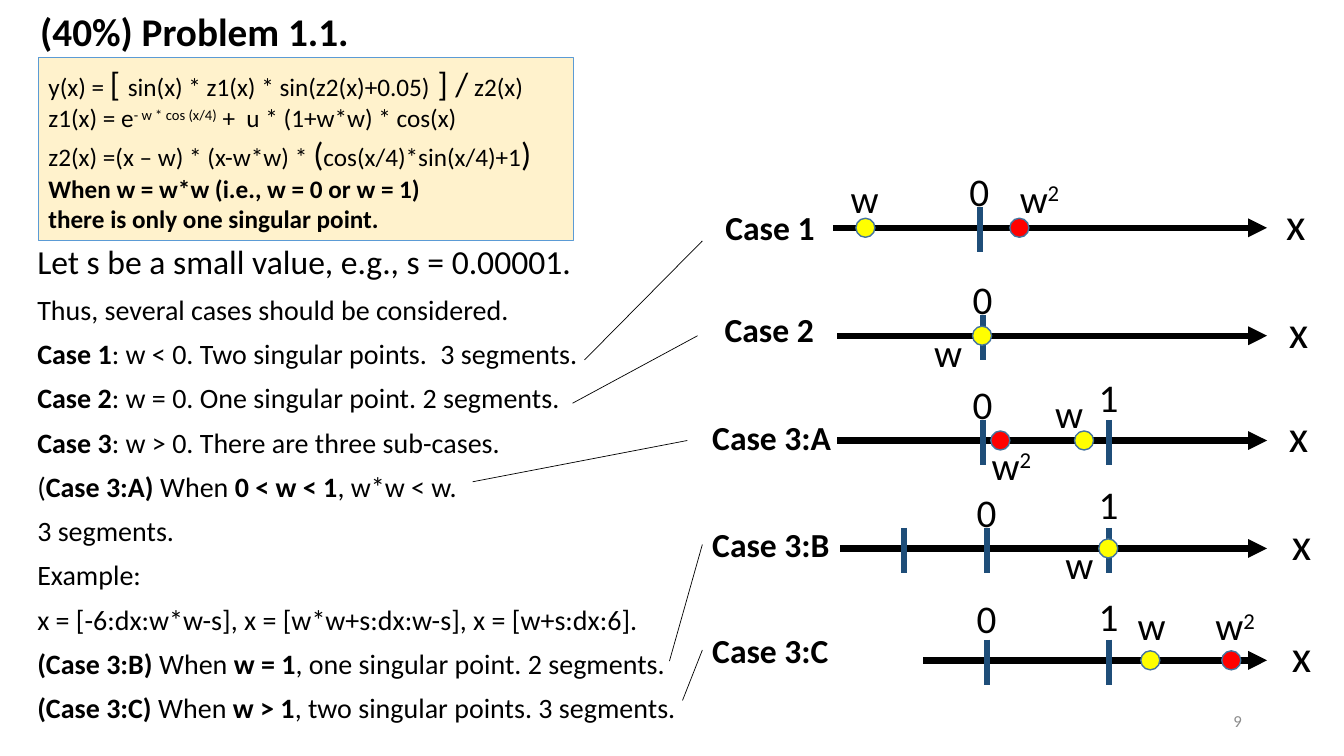
from lxml.etree import SubElement
from pptx import Presentation
from pptx.dml.color import RGBColor
from pptx.enum.shapes import MSO_CONNECTOR, MSO_SHAPE
from pptx.enum.text import MSO_ANCHOR, PP_ALIGN
from pptx.oxml.ns import qn
from pptx.util import Cm, Pt

FONT = "Calibri"
BLACK, TICK, YELLOW, RED, OUTLINE = "000000", "1F4E79", "FFFF00", "FF0000", "43739E"
BOLD = {"bold": True}
BIG = {"size": Pt(24)}
SUPER = {"baseline": 30}
W, W2 = ["w"], ["w", ("2", SUPER)]

FORMULAS = [
    ["y(x) = ", ("[ ", BIG), "sin(x) * z1(x) * sin(z2(x)+0.05)", (" ] /", BIG), " z2(x)"],
    ["z1(x) = e", ("- w * cos (x/4)", SUPER), " +  u * (1+w*w) * cos(x)"],
    ["z2(x) =(x – w) * (x-w*w) * ", ("(", BIG), "cos(x/4)*sin(x/4)+1", (")", BIG)],
    [("When w = w*w (i.e., w = 0 or w = 1)", BOLD)],
    [("there is only one singular point.", BOLD)],
]
DISCUSSION = [
    [("Let s be a small value, e.g., s = 0.00001.", BIG)],
    ["Thus, several cases should be considered."],
    [("Case 1", BOLD), ": w < 0. Two singular points.\t3 segments."],
    [("Case 2", BOLD), ": w = 0. One singular point. 2 segments."],
    [("Case 3", BOLD), ": w > 0. There are three sub-cases."],
    ["(", ("Case 3:A) ", BOLD), "When ", ("0 < w < 1", BOLD), ", w*w < w."],
    ["3 segments."],
    ["Example:"],
    ["x = [-6:dx:w*w-s], x = [w*w+s:dx:w-s], x = [w+s:dx:6]."],
    [("(Case 3:B) ", BOLD), "When ", ("w = 1", BOLD), ", one singular point. 2 segments."],
    [("(Case 3:C) ", BOLD), "When ", ("w > 1", BOLD), ", two singular points. 3 segments."],
]
# Offsets in cm from the left of the case panel and from the axis.
# ticks: x, label, label rise; points: x, colour, label, label offset from point
CASES = [
    {"name": "Case 1", "name_at": (0.33, -0.66), "axis_y": 5.74, "start": 3.3, "x_at": 14.46,
     "ticks": [(6.99, "0", 1.65)],
     "points": [(4.11, YELLOW, W, -0.62, -1.47), (7.99, RED, W2, -0.24, -1.47)]},
    {"name": "Case 2", "name_at": (0.31, -0.79), "axis_y": 8.46, "start": 3.4, "x_at": 14.53,
     "ticks": [(7.07, "0", 1.65)],
     "points": [(7.05, YELLOW, W, -1.46, -0.3)]},
    {"name": "Case 3:A", "name_at": (0, -0.71), "axis_y": 11.1, "start": 3.4, "x_at": 14.53,
     "ticks": [(7.07, "0", 1.65), (10.25, "1", 1.83)],
     "points": [(7.51, RED, W2, -0.47, -0.1), (9.62, YELLOW, W, -0.98, -1.42)]},
    {"name": "Case 3:B", "name_at": (0, -0.74), "axis_y": 13.82, "start": 3.48, "x_at": 14.61,
     "ticks": [(5.08, "", 0), (7.17, "0", 1.65), (10.25, "1", 1.83)],
     "points": [(10.23, YELLOW, W, -1.33, -0.33)]},
    {"name": "Case 3:C", "name_at": (0, -0.89), "axis_y": 16.64, "start": 5.57, "x_at": 14.61,
     "ticks": [(7.17, "0", 1.8), (10.25, "1", 1.83)],
     "points": [(11.29, YELLOW, W, -0.57, -1.6), (13.33, RED, W2, -0.65, -1.6)]},
]
LEADERS = [
    (14.73, 9.07, 17.7, 6.07),
    (14.43, 10.16, 17.58, 8.46),
    (11.91, 12.14, 17.32, 11.1),
    (16.87, 16.66, 17.7, 13.72),
    (17.2, 17.65, 17.7, 16.38),
]


def rgb(value):
    return RGBColor.from_string(value)


def write(frame, paragraphs, size, color=BLACK, bold=False, **layout):
    """Fill a frame; a run is a string or a (string, format) pair."""
    for index, runs in enumerate(paragraphs):
        paragraph = frame.paragraphs[0] if index == 0 else frame.add_paragraph()
        settings = {"alignment": PP_ALIGN.LEFT, **layout}
        if index == 0:
            settings["space_before"] = Pt(0)
        for name, value in settings.items():
            setattr(paragraph, name, value)
        for item in runs:
            words, extra = (item, {}) if isinstance(item, str) else item
            run = paragraph.add_run()
            run.text = words
            run.font.color.rgb = rgb(color)
            for name, value in {"name": FONT, "size": Pt(size), "bold": bold, **extra}.items():
                if name == "baseline":
                    run.font._element.set("baseline", str(value * 1000))
                else:
                    setattr(run.font, name, value)


def add_text(slide, box, paragraphs, size, wrap=False, **options):
    frame = slide.shapes.add_textbox(*map(Cm, box)).text_frame
    frame.word_wrap = wrap
    write(frame, paragraphs, size, **options)
    return frame


def add_line(slide, ends, color, width, arrow=False):
    line = slide.shapes.add_connector(MSO_CONNECTOR.STRAIGHT, *map(Cm, ends))
    line.line.color.rgb = rgb(color)
    line.line.width = Pt(width)
    if arrow:
        SubElement(line.line._get_or_add_ln(), qn("a:tailEnd"), type="triangle")
    SubElement(line._element.spPr, qn("a:effectLst"))


def add_filled(slide, kind, box, fill, outline, width):
    shape = slide.shapes.add_shape(kind, *map(Cm, box))
    shape.shadow.inherit = False
    shape.fill.solid()
    shape.fill.fore_color.rgb = rgb(fill)
    shape.line.color.rgb = rgb(outline)
    shape.line.width = Pt(width)
    return shape


def place_title(slide, box):
    title = slide.shapes.title
    for name, value in zip(("left", "top", "width", "height"), box):
        setattr(title, name, Cm(value))
    title.text_frame.vertical_anchor = MSO_ANCHOR.MIDDLE
    write(title.text_frame, [["(40%) Problem 1.1."]], 28, bold=True, line_spacing=0.9)


def formula_panel(slide, box):
    panel = add_filled(slide, MSO_SHAPE.RECTANGLE, box, "FFF2CC", "5B9BD5", 0.75)
    panel.text_frame.word_wrap = True
    panel.text_frame.vertical_anchor = MSO_ANCHOR.TOP
    write(panel.text_frame, FORMULAS, 18)


def case_panel(slide, left, case):
    axis_y = case["axis_y"]
    name_x, name_y = case["name_at"]
    add_text(slide, (left + name_x, axis_y + name_y, 3.5, 1.27), [[case["name"]]], 24, bold=True)

    # Axis with its name
    add_line(slide, (left + case["start"], axis_y, left + 14.23, axis_y), BLACK, 4.5, arrow=True)
    add_text(slide, (left + case["x_at"], axis_y - 0.94, 1.04, 1.63), [["x"]], 32)

    # Ticks
    for offset, label, rise in case["ticks"]:
        x = left + offset
        add_line(slide, (x, axis_y - 0.52, x, axis_y + 0.61), TICK, 4.5)
        if label:
            add_text(slide, (x - 0.51, axis_y - rise, 1.02, 1.45), [[label]], 28)

    # Singular points
    size = 0.48
    for offset, fill, label, dx, dy in case["points"]:
        x = left + offset
        dot = (x - size / 2, axis_y - size / 2, size, size)
        add_filled(slide, MSO_SHAPE.OVAL, dot, fill, OUTLINE, 1)
        width = 1.8 if label is W2 else 1.47
        add_text(slide, (x + dx, axis_y + dy, width, 1.45), [label], 28)


def main():
    deck = Presentation()
    deck.slide_width, deck.slide_height = Cm(33.87), Cm(19.05)
    slide = deck.slides.add_slide(deck.slide_layouts[5])

    place_title(slide, (0.76, -0.99, 33.3, 3.68))
    add_text(slide, (0.69, 6.07, 17.25, 12.55), DISCUSSION, 20, wrap=True,
             line_spacing=0.9, space_before=Pt(10))
    for case in CASES:
        case_panel(slide, 17.7, case)
    formula_panel(slide, (0.97, 1.45, 13.49, 4.62))
    for ends in LEADERS:
        add_line(slide, ends, BLACK, 0.5)

    # Page number
    number = add_text(slide, (23.93, 17.65, 7.62, 1.02), [["9"]], 12, wrap=True,
                      color="8C8C8C", alignment=PP_ALIGN.RIGHT)
    number.vertical_anchor = MSO_ANCHOR.MIDDLE
    deck.save("out.pptx")


if __name__ == "__main__":
    main()
